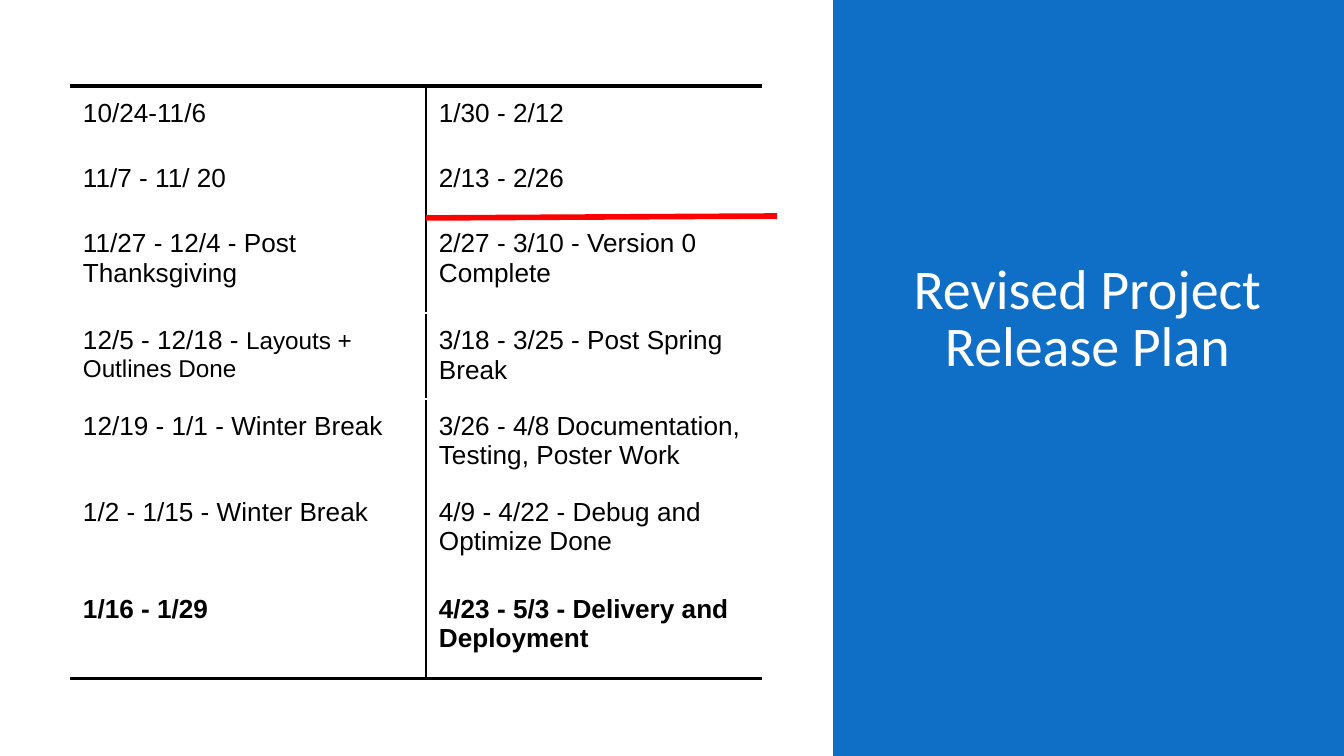
from dataclasses import dataclass

from lxml.etree import SubElement
from pptx import Presentation
from pptx.dml.color import RGBColor
from pptx.enum.shapes import MSO_CONNECTOR as Connector, MSO_SHAPE as Shape
from pptx.enum.text import MSO_ANCHOR as Anchor, MSO_AUTO_SIZE as AutoSize, PP_ALIGN as Align
from pptx.oxml import parse_xml
from pptx.oxml.ns import nsdecls, qn
from pptx.util import Emu, Pt

SLIDE_WIDTH, SLIDE_HEIGHT = 1344, 756
EMU_PER_PX = 9144000 / SLIDE_WIDTH

BLUE = RGBColor(0x0F, 0x6F, 0xC6)
WHITE = RGBColor(0xFF, 0xFF, 0xFF)
BLACK = RGBColor(0x00, 0x00, 0x00)
RED = RGBColor(0xFF, 0x00, 0x00)

NO_STYLE = "{2D5ABB26-0587-4C30-8999-92F81FD0307C}"
TABLE_LEFT, TABLE_TOP = 70, 86
COLUMN_WIDTHS = (356, 336)
CELL_MARGIN = 13


@dataclass(frozen=True)
class Sprint:
    dates: str
    detail: str = ""
    detail_size: int = 14


@dataclass(frozen=True)
class PlanRow:
    height: int
    sprints: tuple[Sprint, Sprint]
    bold: bool = False


@dataclass(frozen=True)
class Border:
    side: str
    color: RGBColor
    points: float


PLAN = (
    PlanRow(65, (Sprint("10/24-11/6"), Sprint("1/30 - 2/12"))),
    PlanRow(65, (Sprint("11/7 - 11/ 20"), Sprint("2/13 - 2/26"))),
    PlanRow(97, (Sprint("11/27 - 12/4 - Post Thanksgiving"),
                 Sprint("2/27 - 3/10 - Version 0 Complete"))),
    PlanRow(86, (Sprint("12/5 - 12/18 - ", "Layouts + Outlines Done", 13),
                 Sprint("3/18 - 3/25 - Post Spring Break"))),
    PlanRow(86, (Sprint("12/19 - 1/1 - Winter Break"),
                 Sprint("3/26 - 4/8 Documentation, Testing, Poster Work"))),
    PlanRow(97, (Sprint("1/2 - 1/15 - Winter Break"),
                 Sprint("4/9 - 4/22 - Debug and Optimize Done"))),
    PlanRow(97, (Sprint("1/16 - 1/29"),
                 Sprint("4/23 - 5/3 - Delivery and Deployment")), bold=True),
)


def px(length: int) -> Emu:
    return Emu(round(length * EMU_PER_PX))


def apply_format(target, values: dict) -> None:
    for name, value in values.items():
        setattr(target, name, value)


def format_font(font, color: RGBColor, **values) -> None:
    apply_format(font, values)
    font.color.rgb = color


def cell_borders(row: int, column: int) -> list[Border]:
    borders = [Border("R" if column == 0 else "L", BLACK, 0.75)]
    if row == 0:
        borders.append(Border("T", BLACK, 2))
    if row == len(PLAN) - 1:
        borders.append(Border("B", BLACK, 2))
    if column == 0 and row == 2:
        borders.append(Border("B", WHITE, 0.75))
    if column == 0 and row == 3:
        borders.append(Border("T", WHITE, 0.75))
    return sorted(borders, key=lambda border: "LRTB".index(border.side))


def draw_borders(cell, borders: list[Border]) -> None:
    properties = cell.fill and cell._tc.get_or_add_tcPr()
    for index, border in enumerate(borders):
        properties.insert(index, parse_xml(
            f'<a:ln{border.side} {nsdecls("a")} w="{Pt(border.points)}">'
            f'<a:solidFill><a:srgbClr val="{border.color}"/></a:solidFill>'
            f'</a:ln{border.side}>'))


def fill_cell(cell, sprint: Sprint, bold: bool) -> None:
    margins = ("margin_left", "margin_right", "margin_top", "margin_bottom")
    apply_format(cell, dict.fromkeys(margins, px(CELL_MARGIN)))
    cell.fill.solid()
    cell.fill.fore_color.rgb = WHITE
    paragraph = cell.text_frame.paragraphs[0]
    for text, size in ((sprint.dates, 14), (sprint.detail, sprint.detail_size)):
        if text:
            run = paragraph.add_run()
            run.text = text
            format_font(run.font, BLACK, name="Arial", size=Pt(size), bold=bold)


def draw_panel(slide) -> None:
    panel = slide.shapes.add_shape(Shape.RECTANGLE, px(833), 0, px(511), px(SLIDE_HEIGHT))
    panel.shadow.inherit = False
    panel.fill.solid()
    panel.fill.fore_color.rgb = BLUE
    panel.line.fill.background()
    slide.shapes.title.element.addprevious(panel.element)


def draw_title(slide) -> None:
    title = slide.shapes.title
    apply_format(title, {"left": px(900), "top": px(237), "width": px(375), "height": px(148)})
    frame = title.text_frame
    frame.text = "Revised Project Release Plan"
    apply_format(frame, {"word_wrap": True, "auto_size": AutoSize.NONE,
                         "vertical_anchor": Anchor.BOTTOM})
    paragraph = frame.paragraphs[0]
    apply_format(paragraph, {"alignment": Align.CENTER, "line_spacing": 0.85,
                             "space_after": Pt(6)})
    format_font(paragraph.runs[0].font, WHITE, name="Calibri", size=Pt(30))


def draw_plan(slide) -> None:
    frame = slide.shapes.add_table(
        len(PLAN), len(COLUMN_WIDTHS), px(TABLE_LEFT), px(TABLE_TOP),
        px(sum(COLUMN_WIDTHS)), px(sum(row.height for row in PLAN)))
    table = frame.table
    apply_format(table, {"first_row": False, "horz_banding": False})
    frame.element.find(".//" + qn("a:tableStyleId")).text = NO_STYLE
    for column, width in zip(table.columns, COLUMN_WIDTHS):
        column.width = px(width)
    for row_index, row in enumerate(PLAN):
        table.rows[row_index].height = px(row.height)
        for column_index, sprint in enumerate(row.sprints):
            cell = table.cell(row_index, column_index)
            fill_cell(cell, sprint, row.bold)
            draw_borders(cell, cell_borders(row_index, column_index))


def draw_progress_line(slide) -> None:
    line = slide.shapes.add_connector(Connector.STRAIGHT, px(426), px(218), px(777), px(216))
    line.line.color.rgb = RED
    line.line.width = Pt(3)
    SubElement(line.element.spPr, qn("a:effectLst"))


def main() -> None:
    presentation = Presentation()
    apply_format(presentation, {"slide_width": px(SLIDE_WIDTH),
                                "slide_height": px(SLIDE_HEIGHT)})
    slide = presentation.slides.add_slide(presentation.slide_layouts[5])
    draw_panel(slide)
    draw_title(slide)
    draw_plan(slide)
    draw_progress_line(slide)
    presentation.save("out.pptx")


if __name__ == "__main__":
    main()
